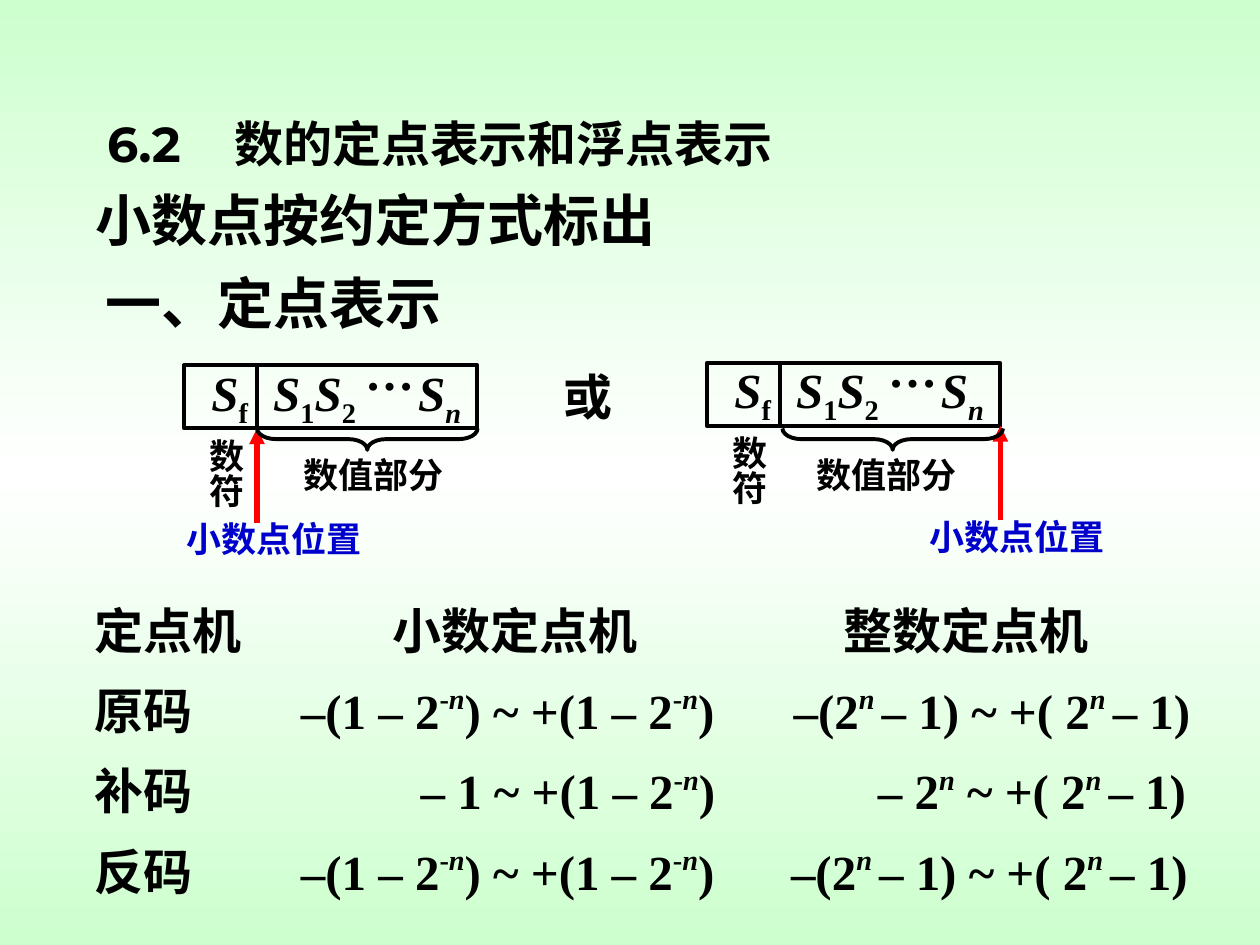
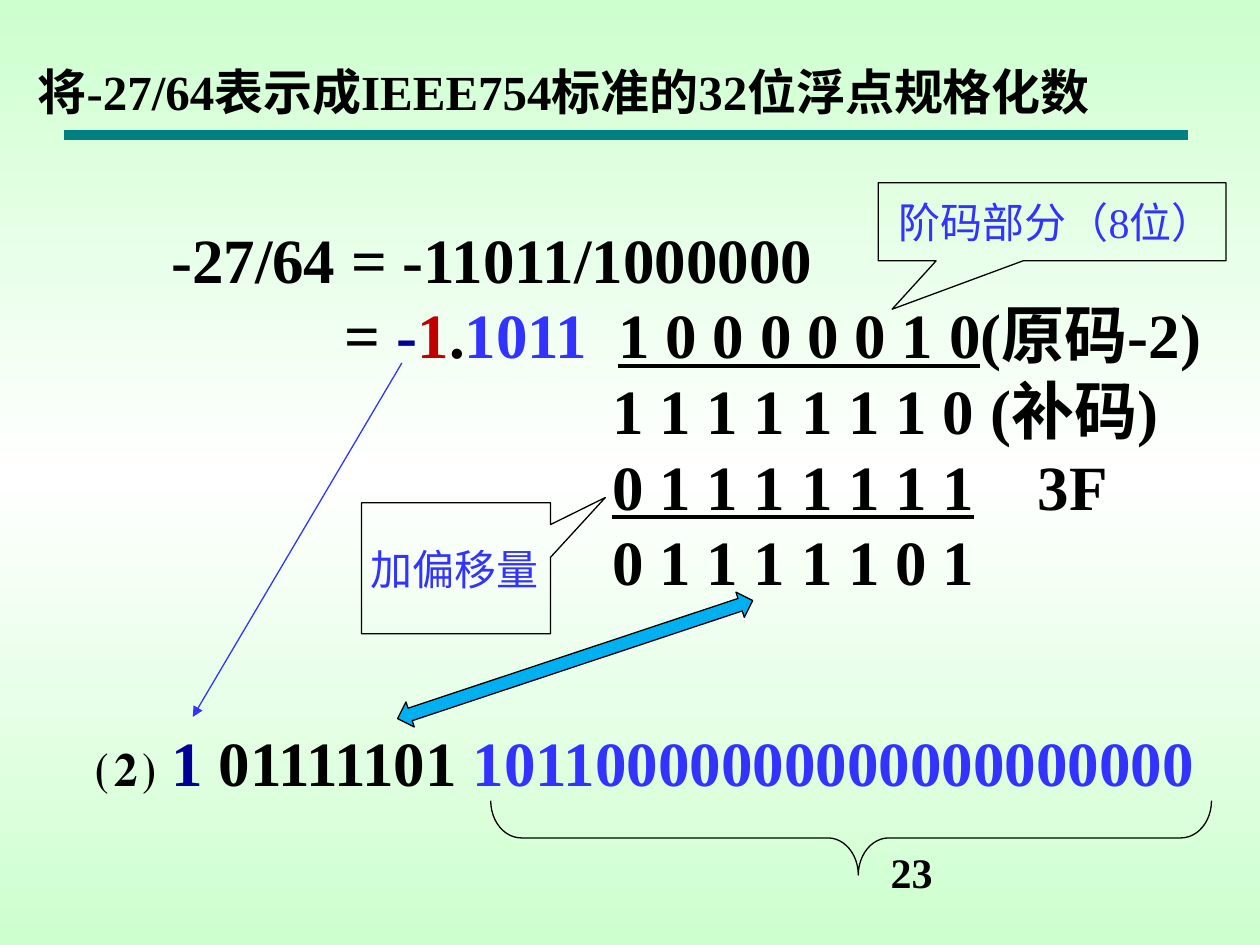
"""Build two slides on fixed-point ranges and an IEEE754 conversion."""
from copy import deepcopy
from lxml import etree
from pptx import Presentation
from pptx.dml.color import RGBColor
from pptx.enum import shapes, text
from pptx.oxml.ns import qn
from pptx.util import Inches, Pt

HUE = {"mint": "CDFFCE", "white": "FFFFFF", "black": "000000", "red": "FF0000",
       "point": "0000CC", "teal": "008080", "navy": "000099", "dark": "C00000",
       "blue": "3333FF", "sky": "00B0F0"}
SERIF = "Times New Roman"
UP = {"base": 40}
POW = {"base": 40, "i": True}
LOW = {"base": -25}
VAR = {"i": True}
KIND = shapes.MSO_SHAPE
LINE = "line"


def write(item, paras, at=None, size=28, hue="black", bold=True, font=SERIF, wrap=False,
          align="LEFT", anchor="TOP", tabs=(), inset=(0.1, 0.05)):
    """Fill a shape, or a new text box on a slide, with paragraphs of runs."""
    if at:
        item = item.shapes.add_textbox(*map(Inches, at))
    frame = item.text_frame
    frame.word_wrap = wrap
    frame.vertical_anchor = getattr(text.MSO_ANCHOR, anchor)
    frame.margin_left = frame.margin_right = Inches(inset[0])
    frame.margin_top = frame.margin_bottom = Inches(inset[1])
    paras = [[paras]] if isinstance(paras, str) else paras
    for n, runs in enumerate(paras):
        para = frame.add_paragraph() if n else frame.paragraphs[0]
        para.alignment = getattr(text.PP_ALIGN, align)
        para.line_spacing = Pt(1.2 * size)
        if tabs:
            stops = etree.SubElement(para._p.get_or_add_pPr(), qn("a:tabLst"))
            for stop in tabs[n]:
                etree.SubElement(stops, qn("a:tab"), pos=str(Inches(stop)), algn="l")
        for part in runs:
            words, look = (part, {}) if isinstance(part, str) else part
            run = para.add_run()
            run.text = words
            run.font.name, run.font.size, run.font.bold = font, Pt(size), bold
            run.font.italic = look.get("i", False)
            run.font.underline = look.get("u", False)
            run.font.color.rgb = RGBColor.from_string(HUE[look.get("hue", hue)])
            if "base" in look:
                run._r.get_or_add_rPr().set("baseline", str(look["base"] * 1000))
    return item


def draw(slide, kind, at, hue="black", width=0.75, fill=None, head=False, turn=0, adj=()):
    """Add an outlined preset shape, or a straight line between two points."""
    if kind == LINE:
        item = slide.shapes.add_connector(shapes.MSO_CONNECTOR.STRAIGHT, *map(Inches, at))
    else:
        item = slide.shapes.add_shape(kind, *map(Inches, at))
        item.rotation = turn
        for n, value in enumerate(adj):
            item.adjustments[n] = value
        if fill:
            item.fill.solid()
            item.fill.fore_color.rgb = RGBColor.from_string(HUE[fill])
        else:
            item.fill.background()
    item.line.color.rgb = RGBColor.from_string(HUE[hue])
    item.line.width = Pt(width)
    if head:
        etree.SubElement(item.line._get_or_add_ln(), qn("a:tailEnd"), type="triangle")
    etree.SubElement(item._element.spPr, qn("a:effectLst"))
    return item


deck = Presentation()
deck.slide_width, deck.slide_height = Inches(10), Inches(7.5)
back = deck.slide_master.background.fill
back.gradient()
back.gradient_angle = 90
first, mid = back.gradient_stops
first.color.rgb = RGBColor.from_string(HUE["mint"])
first.position = 0
mid.color.rgb = RGBColor.from_string(HUE["white"])
mid.position = 0.5
last = deepcopy(first._gs)
last.set("pos", "100000")
mid._gs.addnext(last)

heads = [
    ((0.75, 0.17, 8.5, 1.25), "6.2\t数的定点表示和浮点表示", "Montserrat", "BOTTOM", [[1.01]]),
    ((0.2, 0.44, 9.8, 0.57), "将-27/64表示成IEEE754标准的32位浮点规格化数", SERIF, "TOP", ()),
]
pages = []
for at, words, font, anchor, tabs in heads:
    page = deck.slides.add_slide(deck.slide_layouts[5])
    title = page.shapes.title
    title.left, title.top, title.width, title.height = map(Inches, at)
    write(title, words, font=font, anchor=anchor, tabs=tabs, wrap=True)
    pages.append(page)
fixed, float32 = pages

write(fixed, "小数点按约定方式标出", (0.66, 1.42, 4.8, 0.64), size=32)
write(fixed, "一、定点表示", (0.74, 2.08, 3, 0.64), size=32)
write(fixed, "或", (4.37, 2.86, 0.59, 0.57))

word = [[("S", VAR), ("f", LOW), "\t", ("S", VAR), ("1", LOW), ("S", VAR), ("2", LOW),
         "\t", ("S", VAR), ("n", {"base": -25, "i": True})]]
frames = [(1.46, 2.9, 2.04, 2.31, 1.38, 2.04), (5.61, 2.88, 7.94, 6.38, 7.28, 6.21)]
for x, y, dot, part, label, brace in frames:
    write(fixed, word, (x + 0.12, y - 0.01, 2.3, 0.63), tabs=[[0.49, 1.64]], wrap=True)
    write(fixed, "…", (x + 1.34, y - 0.24, 0.59, 0.57))
    draw(fixed, KIND.RECTANGLE, (x, y, 2.33, 0.5), width=2.25)
    draw(fixed, LINE, (x + 0.58, y, x + 0.58, y + 0.5), width=2.25)
    draw(fixed, LINE, (dot, y + 1.25, dot, y + 0.5), "red", 3, head=True)
    sign = write(fixed, "数符", (x + 0.02, y + 0.48, 0.53, 0.66), size=20, inset=(0.05, 0.1))
    sign.text_frame._txBody.bodyPr.set("vert", "eaVert")
    write(fixed, "数值部分", (part, 3.55, 1.4, 0.44), size=20)
    write(fixed, "小数点位置", (label, y + 1.16, 1.7, 0.44), size=20, hue="point")
    draw(fixed, KIND.LEFT_BRACE, (brace + 0.79, 2.61, 0.17, 1.75), width=2.25,
         turn=270, adj=(0.88, 0.5))

for x, name in [(0.65, "定点机"), (3.02, "小数定点机"), (6.6, "整数定点机")]:
    write(fixed, name, (x, 4.72, 2.3, 0.57), wrap=True)

frac = ["+(1 – 2", ("-", UP), ("n", POW), ")"]
whole = ["+( 2", ("n ", POW), "– 1)"]
both = ["–(1 – 2", ("-", UP), ("n", POW), ") ~ "] + frac
span = ["–(2", ("n ", POW), "– 1) ~ "] + whole
rows = [("原码", 2.29, both, 6.2, span),
        ("补码", 3.24, ["– 1 ~ "] + frac, 6.87, ["– 2", ("n", POW), " ~ "] + whole),
        ("反码", 2.29, both, 6.18, span)]
for n, (code, left, small, right, large) in enumerate(rows):
    y = 5.35 + 0.64 * n
    write(fixed, code, (0.65, y, 1.3, 0.57), wrap=True)
    write(fixed, [small], (left, y, 3.6, 0.57), wrap=True)
    write(fixed, [large], (right, y, 3.84, 0.57), wrap=True)

draw(float32, LINE, (0.51, 1.07, 9.43, 1.07), "teal", 6)
write(float32, [["⑵ ", ("1", {"hue": "navy"}), " 01111101 ",
                 ("10110000000000000000000", {"hue": "blue"})]],
      (0.67, 5.69, 9.06, 1.3), size=36, wrap=True)
steps = [
    ["-27/64 = -11011/1000000"],
    ["\t= ", ("-", {"hue": "navy"}), ("1", {"hue": "dark"}), ".", ("1011", {"hue": "blue"}),
     "\t", ("1 0 0 0 0 0 1 0", {"u": True}), "(原码-2)"],
    ["\t1 1 1 1 1 1 1 0 (补码)"],
    ["\t", ("0 1 1 1 1 1 1 1", {"u": True}), "\t3F"],
    ["\t0 1 1 1 1 1 0 1"],
]
write(float32, steps, (1.26, 1.7, 8.74, 3.7), size=36, wrap=True,
      tabs=[[], [1.38, 3.55], [3.5], [3.5, 6.88], [3.5]])

notes = [((6.97, 1.45, 2.76, 0.62), (-0.46, 1.12), "阶码部分（8位）"),
         ((2.87, 3.99, 1.5, 1.04), (0.79, -0.54), "加偏移量")]
for at, adj, words in notes:
    note = draw(float32, KIND.RECTANGULAR_CALLOUT, at, adj=adj)
    write(note, words, size=24, hue="blue", bold=False, align="RIGHT", anchor="MIDDLE")

draw(float32, KIND.LEFT_BRACE, (6.46, 3.79, 0.59, 5.72), turn=270, adj=(0.41, 0.51))
write(float32, "23", (6.97, 6.67, 0.53, 0.5), size=24, align="RIGHT")
draw(float32, LINE, (3.19, 2.88, 1.53, 5.69), "blue", head=True)
draw(float32, KIND.LEFT_RIGHT_ARROW, (3.08, 5.13, 2.97, 0.21), fill="sky", turn=341.6)

deck.save("out.pptx")
